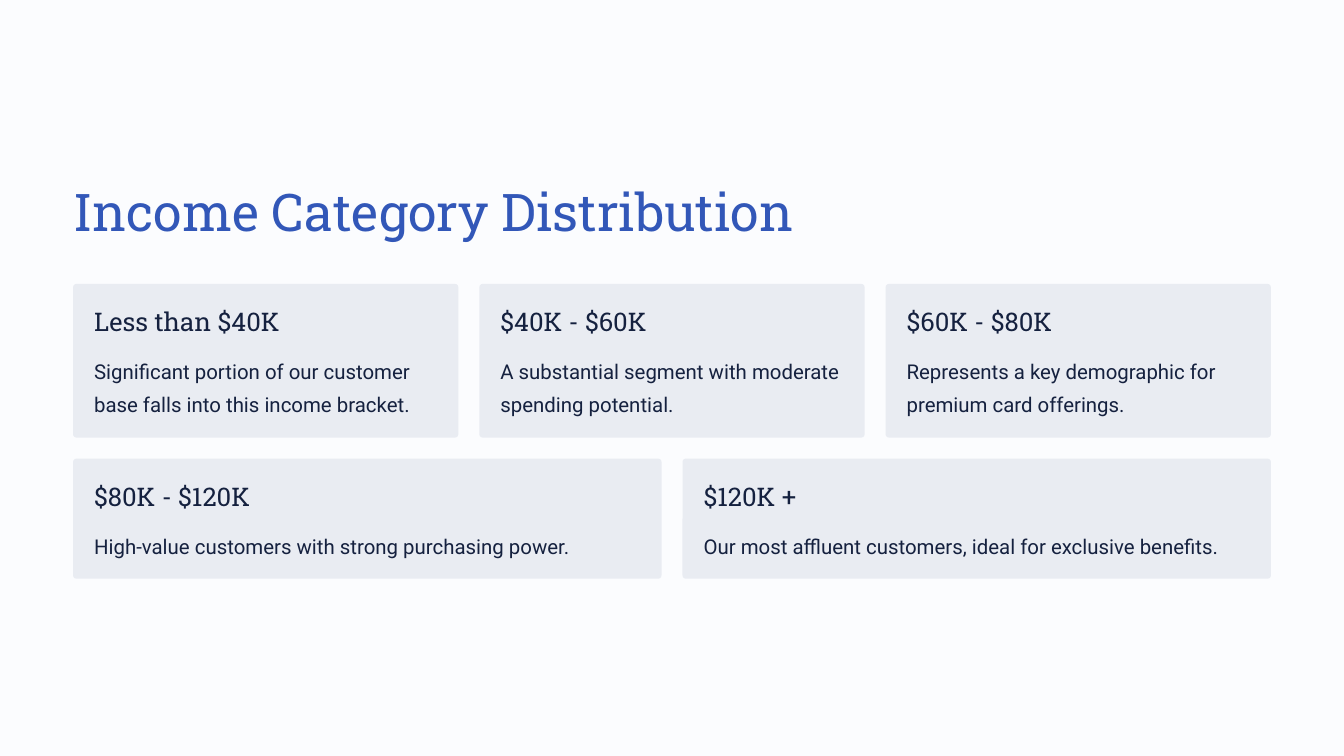
from pptx import Presentation
from pptx.dml.color import RGBColor
from pptx.enum.shapes import MSO_SHAPE
from pptx.util import Inches, Pt

TITLE = "Income Category Distribution"
CARD_ROWS = [
    [
        ("Less than $40K", "Significant portion of our customer base falls into this income bracket."),
        ("$40K - $60K", "A substantial segment with moderate spending potential."),
        ("$60K - $80K", "Represents a key demographic for premium card offerings."),
    ],
    [
        ("$80K - $120K", "High-value customers with strong purchasing power."),
        ("$120K +", "Our most affluent customers, ideal for exclusive benefits."),
    ],
]
ROW_HEIGHTS = [1.83, 1.43]

COLORS = {"background": "FBFCFE", "title": "3257B8", "card": "E9ECF2", "text": "15213F"}
# font, size, line spacing, colour
STYLES = {
    "title": ("Roboto Slab", 44.5, 55.5, "title"),
    "heading": ("Roboto Slab", 22, 27.5, "text"),
    "body": ("Roboto", 17.5, 28.5, "text"),
}

# Inches
SLIDE_WIDTH, SLIDE_HEIGHT = 16, 9
MARGIN = 0.87
CONTENT_WIDTH = SLIDE_WIDTH - 2 * MARGIN
GAP = PADDING = 0.25
TITLE_TOP, TITLE_HEIGHT, CARDS_TOP = 2.11, 0.78, 3.38
HEADING_HEIGHT, BODY_OFFSET = 0.39, 0.79
CORNER_RADIUS = 0.04


def color(name):
    return RGBColor.from_string(COLORS[name])


def add_text(slide, text, style, left, top, width, height):
    font_name, size, line_spacing, color_name = STYLES[style]
    box = slide.shapes.add_textbox(*map(Inches, (left, top, width, height)))
    frame = box.text_frame
    frame.margin_left = frame.margin_top = frame.margin_right = frame.margin_bottom = 0
    frame.word_wrap = True
    paragraph = frame.paragraphs[0]
    paragraph.line_spacing = Pt(line_spacing)
    run = paragraph.add_run()
    run.text = text
    run.font.name = font_name
    run.font.size = Pt(size)
    run.font.color.rgb = color(color_name)


def add_card(slide, heading, body, left, top, width, height):
    card = slide.shapes.add_shape(
        MSO_SHAPE.ROUNDED_RECTANGLE, *map(Inches, (left, top, width, height))
    )
    card.adjustments[0] = CORNER_RADIUS / height
    card.shadow.inherit = False
    card.fill.solid()
    card.fill.fore_color.rgb = color("card")
    card.line.fill.background()

    text_left, text_width = left + PADDING, width - 2 * PADDING
    add_text(slide, heading, "heading", text_left, top + PADDING, text_width, HEADING_HEIGHT)
    add_text(slide, body, "body", text_left, top + BODY_OFFSET, text_width,
             height - BODY_OFFSET - PADDING)


def main():
    presentation = Presentation()
    presentation.slide_width = Inches(SLIDE_WIDTH)
    presentation.slide_height = Inches(SLIDE_HEIGHT)
    slide = presentation.slides.add_slide(presentation.slide_layouts[6])
    slide.background.fill.solid()
    slide.background.fill.fore_color.rgb = color("background")

    add_text(slide, TITLE, "title", MARGIN, TITLE_TOP, CONTENT_WIDTH, TITLE_HEIGHT)

    top = CARDS_TOP
    for cards, height in zip(CARD_ROWS, ROW_HEIGHTS):
        width = (CONTENT_WIDTH - GAP * (len(cards) - 1)) / len(cards)
        for column, (heading, body) in enumerate(cards):
            add_card(slide, heading, body, MARGIN + column * (width + GAP), top, width, height)
        top += height + GAP

    presentation.save("out.pptx")


if __name__ == "__main__":
    main()
